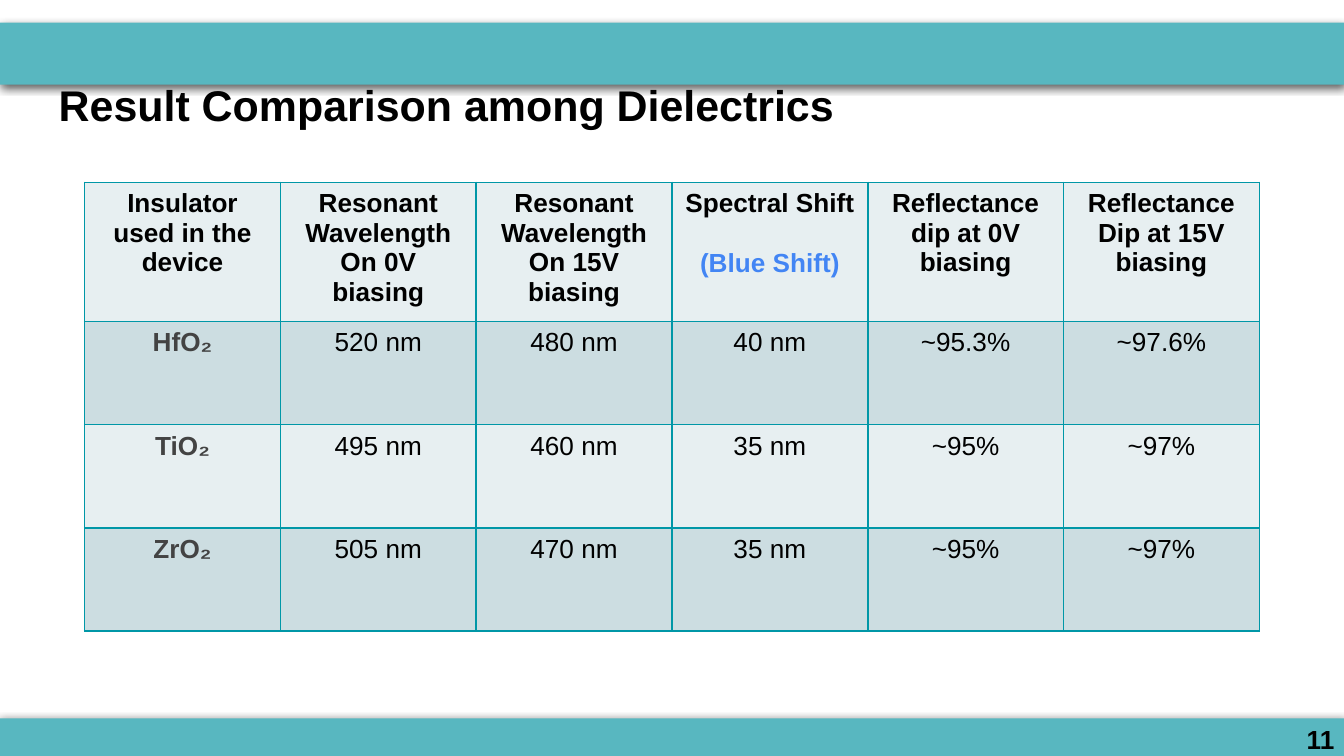
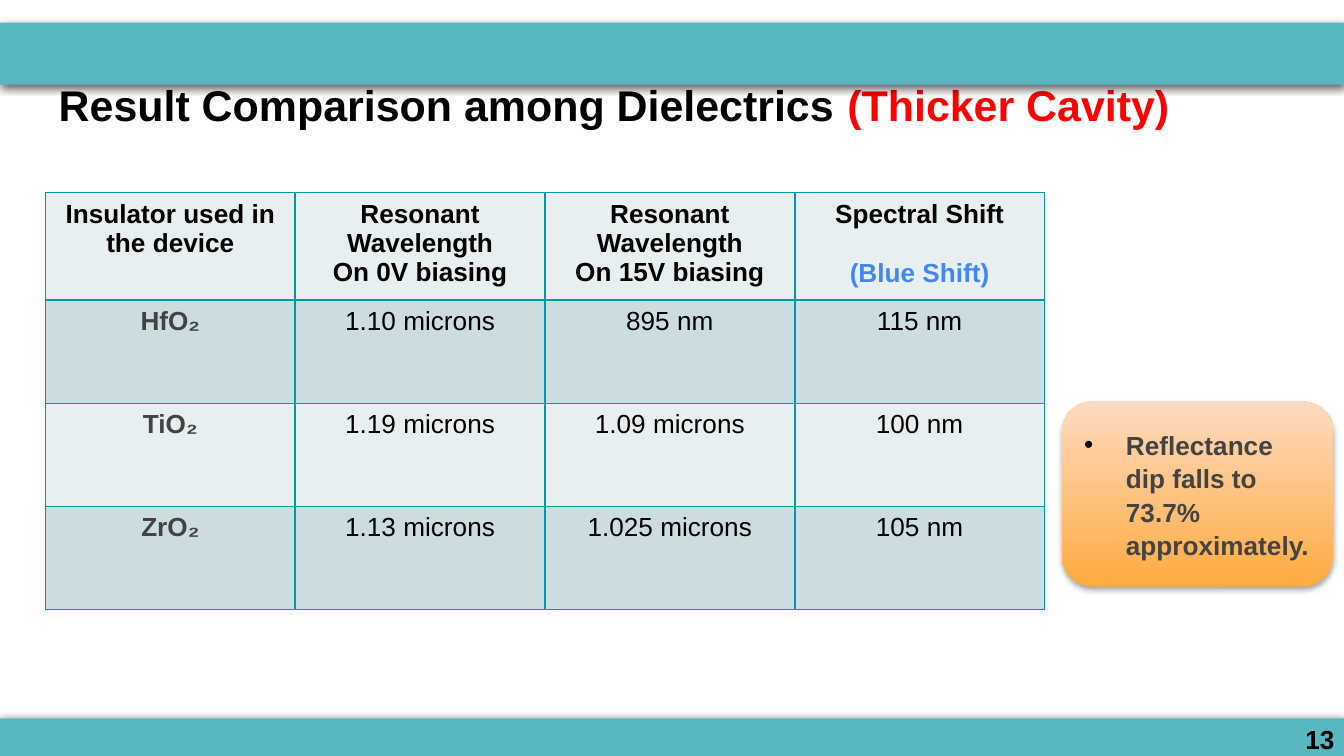
from dataclasses import dataclass
from typing import Optional

from lxml import etree
from pptx import Presentation
from pptx import util as u
from pptx.dml.color import RGBColor
from pptx.enum import shapes, text
from pptx.oxml.ns import qn

Cm, Pt = u.Cm, u.Pt

FONT = "Arial"
BLACK = RGBColor(0x00, 0x00, 0x00)
GREY = RGBColor(0x43, 0x43, 0x43)
RED = RGBColor(0xFF, 0x00, 0x00)
BLUE = RGBColor(0x42, 0x85, 0xF4)
TEAL = RGBColor(0x58, 0xB7, 0xC0)
BORDER = RGBColor(0x00, 0x97, 0xA7)
ROW_LIGHT = RGBColor(0xE7, 0xEF, 0xF1)
ROW_DARK = RGBColor(0xCC, 0xDD, 0xE1)
ORANGE = RGBColor(0xFF, 0xAB, 0x40)
PEACH = RGBColor(0xFF, 0xDA, 0xC0)

SLIDE_W, SLIDE_H = 25.4, 14.29
ROW_H = 1.95
BODY_SIZE = 14
TITLE = "Result Comparison among Dielectrics"
SHIFT_NOTE = "(Blue Shift)"
HEADERS = [
    "Insulator used in the device",
    "Resonant Wavelength\nOn 0V biasing",
    "Resonant Wavelength\nOn 15V biasing",
    "Spectral Shift",
]


@dataclass(frozen=True)
class Box:
    left: float
    top: float
    width: float
    height: float

    def emu(self) -> tuple:
        return Cm(self.left), Cm(self.top), Cm(self.width), Cm(self.height)


@dataclass(frozen=True)
class Shadow:
    alpha: int
    blur: float
    dist: float


@dataclass(frozen=True)
class Comparison:
    number: int
    left: float
    top: float
    col_width: float
    headers: list
    rows: list
    title_note: Optional[str] = None
    callout: Optional[str] = None


HEADER_BAND = Box(0, 0.43, SLIDE_W, 1.17)
FOOTER_BAND = Box(0, 13.58, SLIDE_W, 0.78)
TITLE_BOX = Box(0.86, 1.24, 23.67, 1.6)
CALLOUT_BOX = Box(20.07, 7.59, 5.13, 3.5)
BAND_SHADOW = Shadow(63, 4.5, 1.5)
CALLOUT_SHADOW = Shadow(35, 3.1, 1.8)

COMPARISONS = [
    Comparison(
        11, 1.6, 3.45, 3.7,
        HEADERS + ["Reflectance dip at 0V biasing", "Reflectance Dip at 15V biasing"],
        [
            ["HfO₂", "520 nm", "480 nm", "40 nm", "~95.3%", "~97.6%"],
            ["TiO₂", "495 nm", "460 nm", "35 nm", "~95%", "~97%"],
            ["ZrO₂", "505 nm", "470 nm", "35 nm", "~95%", "~97%"],
        ],
    ),
    Comparison(
        13, 0.86, 3.64, 4.72,
        HEADERS,
        [
            ["HfO₂", "1.10 microns", "895 nm", "115 nm"],
            ["TiO₂", "1.19 microns", "1.09 microns", "100 nm"],
            ["ZrO₂", "1.13 microns", "1.025 microns", "105 nm"],
        ],
        "(Thicker Cavity)",
        "Reflectance dip falls to 73.7% approximately.",
    ),
]


def style(p, size: float, color: RGBColor, bold: bool = True, align=None) -> None:
    p.font.name = FONT
    p.font.size = Pt(size)
    p.font.bold = bold
    p.font.color.rgb = color
    if align is not None:
        p.alignment = align


def add_color(parent, color: RGBColor):
    return etree.SubElement(parent, qn("a:srgbClr"), val=str(color))


def add_shadow(sp, shadow: Shadow) -> None:
    sp.shadow.inherit = False
    effects = sp._element.spPr.find(qn("a:effectLst"))
    outer = etree.SubElement(
        effects, qn("a:outerShdw"), blurRad=str(Pt(shadow.blur)),
        dist=str(Pt(shadow.dist)), dir="5400000", rotWithShape="0",
    )
    etree.SubElement(add_color(outer, BLACK), qn("a:alpha"), val=str(shadow.alpha * 1000))


def add_panel(slide, kind, box: Box, shadow: Shadow):
    sp = slide.shapes.add_shape(kind, *box.emu())
    sp.line.fill.background()
    add_shadow(sp, shadow)
    return sp


def add_band(slide, box: Box):
    sp = add_panel(slide, shapes.MSO_SHAPE.RECTANGLE, box, BAND_SHADOW)
    sp.fill.solid()
    sp.fill.fore_color.rgb = TEAL
    return sp


def add_frame(slide, number: int, title_note: Optional[str]) -> None:
    tf = slide.shapes.add_textbox(*TITLE_BOX.emu()).text_frame
    tf.word_wrap = True
    tf.margin_left = tf.margin_right = tf.margin_top = tf.margin_bottom = Cm(0.25)
    p = tf.paragraphs[0]
    style(p, 23, BLACK)
    p.add_run().text = f"{TITLE} " if title_note else TITLE
    if title_note:
        r = p.add_run()
        r.text = title_note
        r.font.color.rgb = RED

    add_band(slide, HEADER_BAND)
    tf = add_band(slide, FOOTER_BAND).text_frame
    tf.vertical_anchor = text.MSO_ANCHOR.BOTTOM
    tf.margin_left = tf.margin_right = Cm(0.18)
    tf.margin_top = tf.margin_bottom = Cm(0.1)
    p = tf.paragraphs[0]
    p.text = str(number)
    style(p, BODY_SIZE, BLACK, align=text.PP_ALIGN.RIGHT)


def add_borders(cell) -> None:
    tc_pr = cell._tc.get_or_add_tcPr()
    for side in ("lnL", "lnR", "lnT", "lnB"):
        ln = etree.SubElement(tc_pr, qn(f"a:{side}"), w=str(Pt(1)))
        add_color(etree.SubElement(ln, qn("a:solidFill")), BORDER)


def fill_cell(cell, words: str, row: int, col: int) -> None:
    add_borders(cell)
    cell.fill.solid()
    cell.fill.fore_color.rgb = ROW_DARK if row % 2 else ROW_LIGHT
    p = cell.text_frame.paragraphs[0]
    p.text = words
    color = GREY if row and not col else BLACK
    style(p, BODY_SIZE, color, not (row and col), text.PP_ALIGN.CENTER)
    if words == "Spectral Shift":
        p = cell.text_frame.add_paragraph()
        p.text = SHIFT_NOTE
        p.space_before = Pt(16)
        style(p, BODY_SIZE, BLUE, align=text.PP_ALIGN.CENTER)


def add_results(slide, c: Comparison) -> None:
    rows = [c.headers, *c.rows]
    n_cols = len(c.headers)
    box = Box(c.left, c.top, c.col_width * n_cols, ROW_H * len(rows))
    table = slide.shapes.add_table(len(rows), n_cols, *box.emu()).table
    table.first_row = table.horz_banding = False
    for column in table.columns:
        column.width = Cm(c.col_width)
    for i, row in enumerate(rows):
        table.rows[i].height = Cm(ROW_H)
        for j, words in enumerate(row):
            fill_cell(table.cell(i, j), words, i, j)


def add_callout(slide, words: str) -> None:
    sp = add_panel(slide, shapes.MSO_SHAPE.ROUNDED_RECTANGLE, CALLOUT_BOX, CALLOUT_SHADOW)
    sp.fill.gradient()
    sp.fill.gradient_angle = 90
    for stop, color in zip(sp.fill.gradient_stops, (ORANGE, PEACH)):
        stop.color.rgb = color
    tf = sp.text_frame
    tf.word_wrap = True
    tf.vertical_anchor = text.MSO_ANCHOR.MIDDLE
    p = tf.paragraphs[0]
    p.text = words
    p_pr = p._p.get_or_add_pPr()
    p_pr.set("marL", str(Cm(0.79)))
    p_pr.set("indent", str(-Cm(0.79)))
    add_color(etree.SubElement(p_pr, qn("a:buClr")), BLACK)
    etree.SubElement(p_pr, qn("a:buFont"), typeface=FONT)
    etree.SubElement(p_pr, qn("a:buChar"), char="•")
    p.line_spacing = 1.07
    style(p, BODY_SIZE, GREY, align=text.PP_ALIGN.LEFT)


def main() -> None:
    prs = Presentation()
    prs.slide_width, prs.slide_height = Cm(SLIDE_W), Cm(SLIDE_H)
    for c in COMPARISONS:
        slide = prs.slides.add_slide(prs.slide_layouts[6])
        add_frame(slide, c.number, c.title_note)
        add_results(slide, c)
        if c.callout:
            add_callout(slide, c.callout)
    prs.save("out.pptx")


if __name__ == "__main__":
    main()
